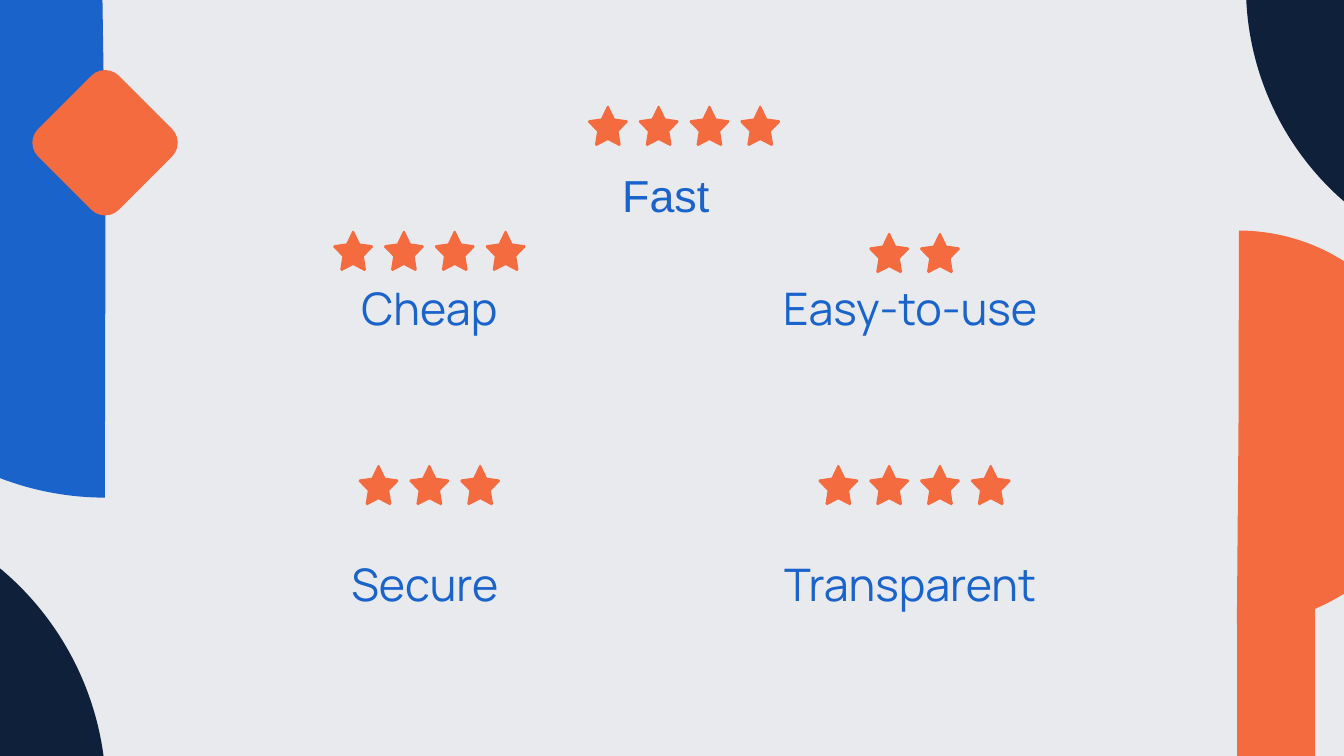
from lxml import etree
from pptx import Presentation
from pptx.dml.color import RGBColor
from pptx.enum.shapes import MSO_SHAPE
from pptx.enum.text import MSO_ANCHOR, MSO_AUTO_SIZE, PP_ALIGN
from pptx.oxml.ns import qn
from pptx.util import Inches, Pt

PIE, BAR, DIAMOND = MSO_SHAPE.PIE, MSO_SHAPE.RECTANGLE, MSO_SHAPE.ROUNDED_RECTANGLE
MIDDLE, CENTER, NO_AUTOFIT = MSO_ANCHOR.MIDDLE, PP_ALIGN.CENTER, MSO_AUTO_SIZE.NONE

PAPER = RGBColor(0xE9, 0xEA, 0xEE)
ORANGE = RGBColor(0xF3, 0x6B, 0x3F)
NAVY = RGBColor(0x0E, 0x20, 0x3A)
BLUE = RGBColor(0x19, 0x63, 0xCB)

# Square grid: 100 columns across, 56.25 rows down (16:9)
COLUMNS, ROWS = 100, 56.25
CELL = Inches(10) / COLUMNS

LABEL_WIDTH, LABEL_HEIGHT = 25.6, 5.3
STAR_SIZE, STAR_PITCH = 3, 3.78

# Right half of a blunt-tipped star, in hundredths of a cell
HALF_STAR = [(150, 0), (157, 5), (200, 95), (292, 108), (298, 122),
             (230, 192), (246, 290), (235, 300), (150, 256)]
STAR = HALF_STAR + [(300 - x, y) for x, y in HALF_STAR[-2:0:-1]]

# Name, font, label centre and top, stars centre and top, star count
RATINGS = [
    ("Fast ", "Arial", 50, 11.8, 50.9, 7.87, 4),
    ("Cheap", "Manrope", 31.95, 20.25, 31.95, 17.17, 4),
    ("Easy-to-use ", "Manrope", 68.05, 20.25, 68.05, 17.33, 2),
    ("Secure ", "Manrope", 31.95, 40.75, 31.95, 34.6, 3),
    ("Transparent ", "Manrope", 68.05, 40.75, 68.05, 34.6, 4),
]


def cells(*lengths):
    return [round(length * CELL) for length in lengths]


class RatingSlide:
    def __init__(self, deck):
        # The comparison layout has a title and four body placeholders
        self.slide = deck.slides.add_slide(deck.slide_layouts[4])
        self.shapes = self.slide.shapes
        self.paint(self.slide.background, PAPER)

    @staticmethod
    def paint(target, color):
        target.fill.solid()
        target.fill.fore_color.rgb = color

    def finish(self, shape, color):
        self.paint(shape, color)
        shape.line.fill.background()
        shape.shadow.inherit = False

    def ornament(self, preset, box, color, adjustments=(), rotation=0):
        shape = self.shapes.add_shape(preset, *cells(*box))
        for index, value in enumerate(adjustments):
            shape.adjustments[index] = value
        shape.rotation = rotation
        self.finish(shape, color)

    def label(self, holder, name, font, center, top):
        holder.left, holder.top, holder.width, holder.height = cells(
            center - LABEL_WIDTH / 2, top, LABEL_WIDTH, LABEL_HEIGHT)
        frame = holder.text_frame
        frame.text = name
        frame.word_wrap = True
        frame.auto_size = NO_AUTOFIT
        frame.vertical_anchor = MIDDLE
        frame.margin_left = frame.margin_right = Inches(0.1)
        frame.margin_top = frame.margin_bottom = Inches(0.1)
        paragraph = frame.paragraphs[0]
        properties = paragraph._p.get_or_add_pPr()
        properties.set("marL", "0")
        properties.set("indent", "0")
        etree.SubElement(properties, qn("a:buNone"))
        paragraph.alignment = CENTER
        paragraph.space_before = Pt(0)
        paragraph.font.name = font
        paragraph.font.size = Pt(24)
        paragraph.font.bold = False
        paragraph.font.color.rgb = BLUE

    def stars(self, center, top, count):
        row = self.shapes.add_group_shape()
        first = center - ((count - 1) * STAR_PITCH + STAR_SIZE) / 2
        for position in range(count):
            outline = row.shapes.build_freeform(*STAR[0], scale=CELL / 100)
            outline.add_line_segments(STAR[1:], close=True)
            star = outline.convert_to_shape(*cells(first + position * STAR_PITCH, top))
            self.finish(star, ORANGE)


def main():
    deck = Presentation()
    deck.slide_width, deck.slide_height = cells(COLUMNS, ROWS)
    page = RatingSlide(deck)

    # Corner and edge ornaments
    page.ornament(PIE, (77.5, 17.15, 29.3, 29.3), ORANGE, (54.08, 162.29), 180)
    page.ornament(PIE, (92.7, -22.15, 42.3, 42.3), NAVY, (162.07, 215.42), 180)
    page.ornament(PIE, (-14.1, -6.87, 43.9, 43.9), BLUE, (54.08, 161.48))
    page.ornament(PIE, (-36, 37.2, 43.9, 43.9), NAVY, (162.07, 215.99))
    page.ornament(BAR, (92.05, 43, 5.8, 13.7), ORANGE)
    page.ornament(DIAMOND, (3.57, 6.37, 8.5, 8.5), ORANGE, (0.17,), 45)

    # Rated qualities
    for holder, rating in zip(page.slide.placeholders, RATINGS):
        name, font, label_center, label_top, *star_row = rating
        page.label(holder, name, font, label_center, label_top)
        page.stars(*star_row)

    deck.save("out.pptx")


if __name__ == "__main__":
    main()
